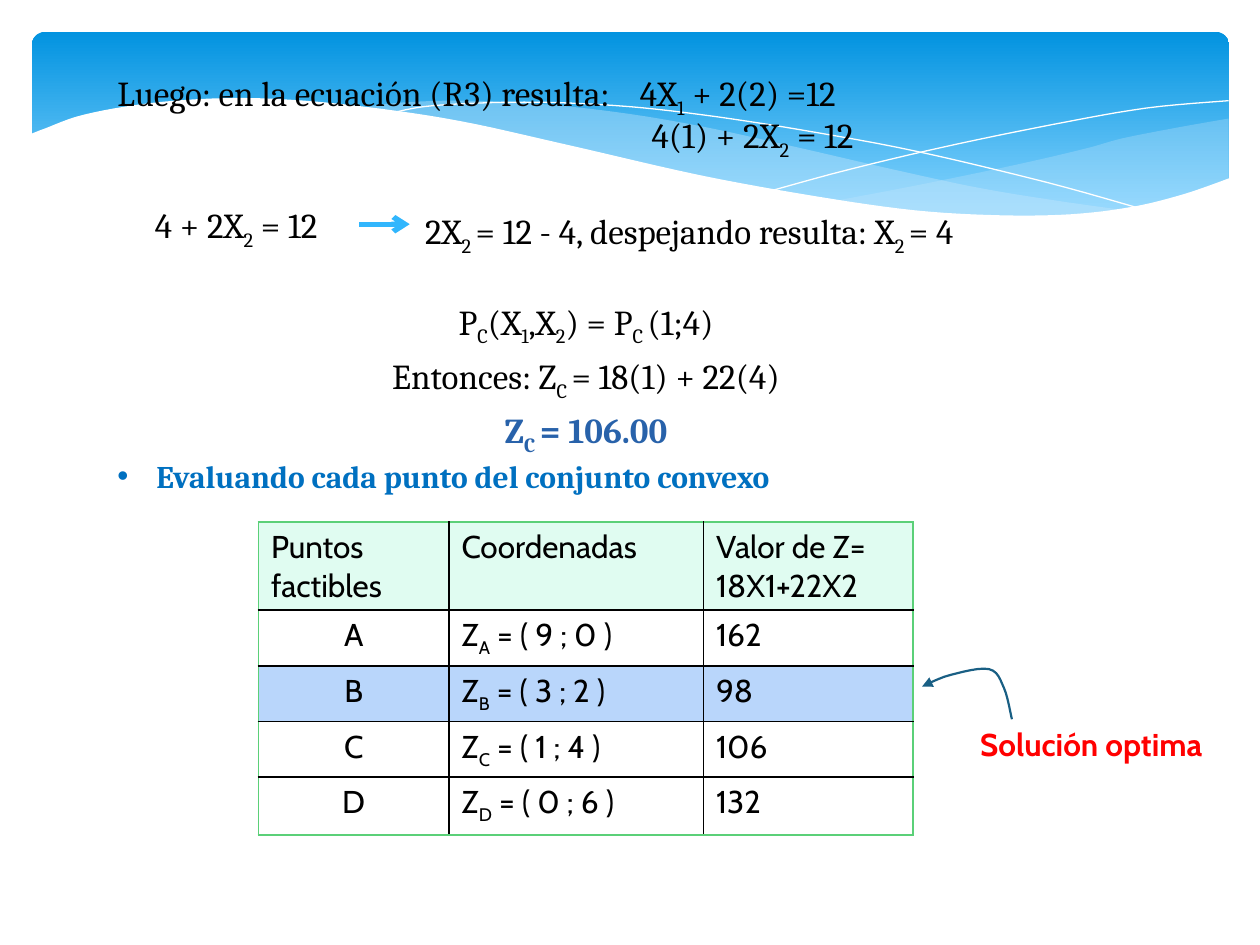
import lxml.etree
import pptx
import pptx.dml.color
import pptx.enum.dml
import pptx.enum.shapes
import pptx.enum.text
import pptx.oxml.ns
import pptx.util

Cm, Pt = pptx.util.Cm, pptx.util.Pt
CENTER = pptx.enum.text.PP_ALIGN.CENTER
COLORS = {
    "text": "000000", "white": "FFFFFF", "band top": "0293E0", "band bottom": "83D3FE",
    "wave": "C6E7FC", "result": "2862AA", "bullet": "0070C0", "arrow": "31B6FD",
    "pointer": "195F84", "optimum": "FF0000", "frame": "5BD078", "header": "E0FCF1",
    "highlight": "B9D6FB",
}

# Runs alternate between normal text and subscript.
LINES = [
    dict(runs=["Luego: en la ecuación (R3) resulta:"]),
    dict(runs=["4(1) + 2X", "2", " = 12"], indent=10.77),
    dict(runs=["4 + 2X", "2", " = 12"], indent=0.76, before=24),
    dict(runs=["P", "C", "(X", "1", ",X", "2", ") = P", "C ", "(1;4)"], centered=True, before=24),
    dict(runs=["Entonces: Z", "C ", "= 18(1) + 22(4)"], centered=True),
    dict(runs=["Z", "C ", "= 106.00"], centered=True, bold=True, color="result"),
    dict(runs=["Evaluando cada punto del conjunto convexo"], bullet=True, indent=0.79, bold=True,
         color="bullet", size=18),
]
# Equations that continue a line further right: left, top, width, runs.
CONTINUATIONS = [
    (12.65, 1.32, 6, ["4X", "1", " + 2(2) =12"]),
    (8.32, 4.1, 13, ["2X", "2 ", "= 12 - 4, despejando resulta: X", "2 ", "= 4"]),
]
HEADER = ["Puntos factibles", "Coordenadas", "Valor de Z= 18X1+22X2"]
POINTS = [("A", "9 ; 0", "162"), ("B", "3 ; 2", "98"), ("C", "1 ; 4", "106"), ("D", "0 ; 6", "132")]
HIGHLIGHTED = "B"
COLUMN_WIDTHS = [3.84, 5.13, 4.22]
ROW_HEIGHTS = [1.78, 1.12, 1.12, 1.12, 1.17]

# Each outline is a list of edges; every edge is a smooth curve through its knots, in cm.
RIGHT_WAVE = [
    [(24.77, 2.39), (23.75, 2.57), (22.63, 2.79), (21.87, 3), (20.45, 3.33), (18.52, 3.73),
     (16.79, 4.06)],
    [(16.79, 4.06), (17.91, 4.19), (18.92, 4.29), (20.4, 4.37), (21.69, 4.32), (22.78, 4.19),
     (23.75, 3.96), (24.77, 3.61)],
]
CENTER_WAVE = [
    [(7.26, 2.18), (7.95, 2.08), (9.17, 2.03), (10.67, 2.08), (12.42, 2.26), (14.1, 2.54),
     (15.98, 2.95), (17.93, 3.4), (19.69, 3.78), (21.26, 4.04), (22.68, 4.24)],
    [(22.68, 4.24), (21.77, 4.34), (20.5, 4.39), (19.33, 4.34), (18.01, 4.22), (16.51, 4.01),
     (14.83, 3.71), (13.46, 3.43), (11.4, 2.95), (9.73, 2.57), (8.2, 2.29), (7.26, 2.18)],
]
FALLING_LINE = [[(7.85, 2.29), (8.74, 2.13), (10.57, 2.06), (12.42, 2.13), (14.12, 2.31),
                 (16.15, 2.62), (18.47, 3.05), (21.11, 3.68), (23.04, 4.22)]]
RISING_LINE = [[(15.57, 3.84), (17.07, 3.43), (19, 2.97), (21.23, 2.51), (23.11, 2.18),
                (24.77, 2.03)]]
WHITE_WAVE = [
    [(24.82, 3.58), (23.88, 3.91), (22.83, 4.17), (21.59, 4.32), (20.14, 4.34), (18.44, 4.24),
     (16.46, 3.96), (14.1, 3.53), (11.35, 2.9), (9.27, 2.44), (7.42, 2.16), (5.84, 2.01),
     (4.5, 1.98), (3.02, 2.08), (1.7, 2.31), (0.91, 2.59), (0.58, 2.72)],
    [(0.58, 5.69), (24.82, 5.69)],
]
POINTER = [[(20.4, 14.5), (20.24, 13.87), (19.94, 13.49), (19.15, 13.61), (18.59, 13.84)]]


def rgb(name):
    return pptx.dml.color.RGBColor.from_string(COLORS[name])


def add_xml(parent, tag, **attributes):
    return lxml.etree.SubElement(parent, pptx.oxml.ns.qn(tag), attributes)


def smooth(knots, steps=6):
    """Sample a Catmull-Rom curve through the knots."""
    padded = [knots[0], *knots, knots[-1]]
    samples = [knots[0]]
    for a, b, c, d in zip(padded, padded[1:], padded[2:], padded[3:]):
        for step in range(1, steps + 1):
            t = step / steps
            samples.append(tuple(
                (2 * q + (r - p) * t + (2 * p - 5 * q + 4 * r - s) * t ** 2
                 + (3 * q - p - 3 * r + s) * t ** 3) / 2
                for p, q, r, s in zip(a, b, c, d)))
    return samples


def add_curve(slide, edges, fill=None, alpha=100, line=None, width=0):
    samples = [(Cm(x), Cm(y)) for edge in edges
               for x, y in (smooth(edge) if len(edge) > 2 else edge)]
    builder = slide.shapes.build_freeform(*samples[0])
    builder.add_line_segments(samples[1:], close=fill is not None)
    curve = builder.convert_to_shape()
    curve.shadow.inherit = False
    if fill:
        curve.fill.solid()
        curve.fill.fore_color.rgb = rgb(fill)
        color = curve.fill._xPr.find(".//" + pptx.oxml.ns.qn("a:srgbClr"))
        add_xml(color, "a:alpha", val=str(alpha * 1000))
        curve.line.fill.background()
    else:
        curve.fill.background()
        curve.line.color.rgb = rgb(line)
        curve.line.width = Pt(width)
    return curve


def add_arrowhead(shape, kind):
    add_xml(shape.line._get_or_add_ln(), "a:tailEnd", type=kind)


def add_runs(para, runs, font, size, color="text", bold=False):
    for index, text in enumerate(runs):
        span = para.add_run()
        span.text = text
        span.font.name, span.font.size, span.font.bold = font, Pt(size), bold
        span.font.color.rgb = rgb(color)
        if index % 2:
            span._r.get_or_add_rPr().set("baseline", "-25000")


def add_background(slide):
    band = slide.shapes.add_shape(pptx.enum.shapes.MSO_SHAPE.ROUNDED_RECTANGLE,
                                  Cm(0.64), Cm(0.64), Cm(24.14), Cm(3.96))
    band.adjustments[0] = 0.07
    band.shadow.inherit = False
    band.line.fill.background()
    band.fill.gradient()
    band.fill.gradient_angle = 270
    stops = zip(band.fill.gradient_stops, ["band top", "band bottom"], [0, 0.9])
    for stop, color, position in stops:
        stop.color.rgb, stop.position = rgb(color), position
    add_curve(slide, RIGHT_WAVE, fill="wave", alpha=29)
    add_curve(slide, CENTER_WAVE, fill="wave", alpha=40)
    add_curve(slide, FALLING_LINE, line="white")
    add_curve(slide, RISING_LINE, line="white")
    add_curve(slide, WHITE_WAVE, fill="white")


def fill_body(body):
    body.left, body.top, body.width, body.height = Cm(2.11), Cm(1.32), Cm(19.41), Cm(16.69)
    frame = body.text_frame
    frame.word_wrap = True
    frame.auto_size = pptx.enum.text.MSO_AUTO_SIZE.NONE
    frame.vertical_anchor = pptx.enum.text.MSO_ANCHOR.TOP
    for index, line in enumerate(LINES):
        para = frame.add_paragraph() if index else frame.paragraphs[0]
        properties = para._p.get_or_add_pPr()
        indent = Cm(line.get("indent", 0))
        properties.set("marL", str(indent))
        properties.set("indent", str(-indent if line.get("bullet") else 0))
        if line.get("bullet"):
            add_xml(properties, "a:buFont", typeface="Arial")
            add_xml(properties, "a:buChar", char="•")
        else:
            add_xml(properties, "a:buNone")
        para.space_before = Pt(line.get("before", 0))
        para.line_spacing = 1.14 if line.get("centered") else 1.0
        if line.get("centered"):
            para.alignment = CENTER
        add_runs(para, line["runs"], "Cambria", line.get("size", 20),
                 line.get("color", "text"), line.get("bold", False))


def add_points_table(slide):
    rows = [[[text] for text in HEADER]]
    rows += [[[name], ["Z", name, f" = ( {pair} )"], [value]] for name, pair, value in POINTS]
    last_row, last_column = len(rows) - 1, len(HEADER) - 1
    table = slide.shapes.add_table(len(rows), len(HEADER), Cm(5.21), Cm(10.52),
                                   Cm(sum(COLUMN_WIDTHS)), Cm(sum(ROW_HEIGHTS))).table
    table.horz_banding = table.first_row = False
    for column, width in zip(table.columns, COLUMN_WIDTHS):
        column.width = Cm(width)
    for i, (row, height) in enumerate(zip(rows, ROW_HEIGHTS)):
        table.rows[i].height = Cm(height)
        for j, runs in enumerate(row):
            cell = table.cell(i, j)
            outer = {"L": j == 0, "R": j == last_column, "T": i == 0, "B": i == last_row}
            for side, on_frame in outer.items():
                border = add_xml(cell._tc.get_or_add_tcPr(), f"a:ln{side}", w=str(Pt(1)))
                paint = add_xml(border, "a:solidFill")
                add_xml(paint, "a:srgbClr", val=COLORS["frame" if on_frame else "text"])
            if i == 0 or row[0] == [HIGHLIGHTED]:
                cell.fill.solid()
                cell.fill.fore_color.rgb = rgb("highlight" if i else "header")
            else:
                cell.fill.background()
            para = cell.text_frame.paragraphs[0]
            if i and j == 0:
                para.alignment = CENTER
            add_runs(para, runs, "Cabin", 18)


def main():
    deck = pptx.Presentation()
    deck.slide_width, deck.slide_height = Cm(25.4), Cm(19.05)
    slide = deck.slides.add_slide(deck.slide_layouts[1])
    title = slide.shapes.title._element
    title.getparent().remove(title)
    add_background(slide)
    body = slide.placeholders[1]
    fill_body(body)
    slide.shapes._spTree.append(body._element)  # bring the text in front of the waves
    for left, top, width, runs in CONTINUATIONS:
        box = slide.shapes.add_textbox(Cm(left), Cm(top), Cm(width), Cm(1.2))
        box.text_frame.word_wrap = True
        add_runs(box.text_frame.paragraphs[0], runs, "Cambria", 20)

    label = slide.shapes.add_textbox(Cm(19.51), Cm(14.5), Cm(5.28), Cm(1.02))
    label.fill.solid()
    label.fill.fore_color.rgb = rgb("white")
    label.text_frame.word_wrap = False
    add_runs(label.text_frame.paragraphs[0], ["Solución optima"], "Cabin", 18, "optimum", True)

    arrow = slide.shapes.add_connector(pptx.enum.shapes.MSO_CONNECTOR.STRAIGHT,
                                       Cm(7.24), Cm(4.52), Cm(8.26), Cm(4.52))
    arrow.line.color.rgb, arrow.line.width = rgb("arrow"), Pt(3)
    add_arrowhead(arrow, "arrow")
    add_xml(arrow._element.spPr, "a:effectLst")

    add_points_table(slide)
    add_arrowhead(add_curve(slide, POINTER, line="pointer", width=1.25), "triangle")
    deck.save("out.pptx")


if __name__ == "__main__":
    main()
